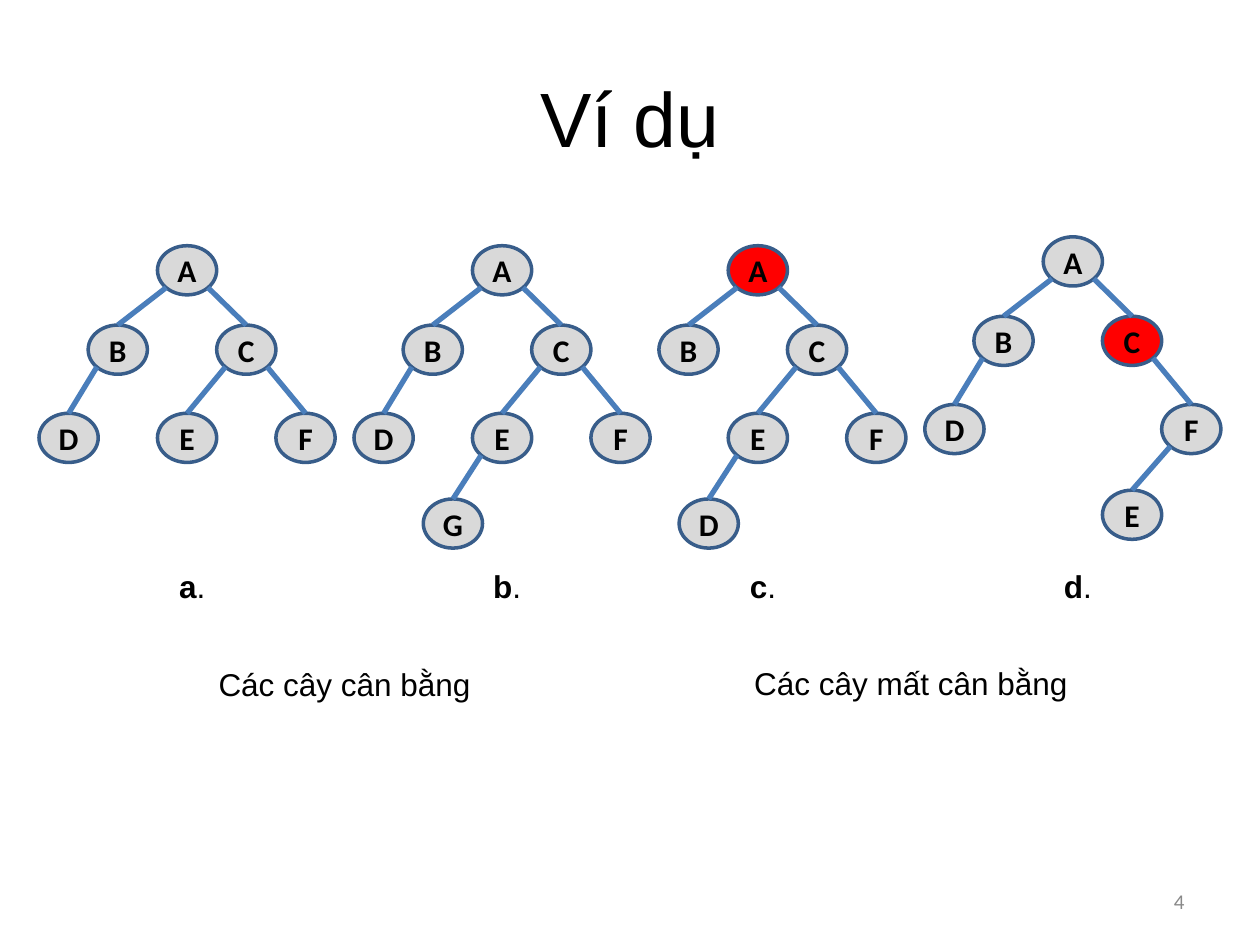
import pptx
import pptx.util
import pptx.oxml
import pptx.dml.color
import pptx.enum.shapes
import pptx.enum.text
from pptx.util import Inches, Pt

HUES = {"text": "000000", "node": "D9D9D9", "fault": "FF0000",
        "rim": "385D8A", "edge": "4A7EBB", "number": "898989"}
ALIGN = pptx.enum.text.PP_ALIGN
ANCHOR = pptx.enum.text.MSO_ANCHOR
FIT = pptx.enum.text.MSO_AUTO_SIZE

NODE_W, NODE_H = 0.47, 0.39
DIAG = 0.5 ** 0.5 / 2  # reach of a 45 degree point, as a share of the diameter

# A slot is the route from the root: L left, R right. Values are offsets in the tree's box.
SLOTS = {"": (0.94, 0), "R": (1.41, 0.63), "RL": (0.94, 1.33), "L": (0.39, 0.63),
         "LL": (0, 1.33), "RR": (1.88, 1.33), "RLL": (0.55, 2.01), "RRL": (1.41, 2.01)}

FULL = {"": "A", "L": "B", "R": "C", "LL": "D", "RL": "E", "RR": "F"}
# name, box (left, top, width, height), nodes by slot, slot out of balance
TREES = [
    ("a", (0.31, 1.95, 2.35, 2.9), FULL, None),
    ("b", (2.81, 1.95, 2.35, 2.9), {**FULL, "RLL": "G"}, None),
    ("c", (4.84, 1.95, 2.35, 2.9),
     {"": "A", "L": "B", "R": "C", "RL": "E", "RR": "F", "RLL": "D"}, ""),
    ("d", (7.34, 1.88, 2.35, 2.97),
     {"": "A", "L": "B", "R": "C", "LL": "D", "RR": "F", "RRL": "E"}, "R"),
]


def color(name):
    return pptx.dml.color.RGBColor.from_string(HUES[name])


def write(shape, *runs, size=18, font="Arial", hue="text", align=ALIGN.CENTER,
          anchor=ANCHOR.TOP):
    """Fill a shape with one paragraph; each run is a (text, bold) pair."""
    frame = shape.text_frame
    frame.word_wrap = True
    frame.vertical_anchor = anchor
    para = frame.paragraphs[0]
    para.alignment = align
    for text, bold in runs:
        run = para.add_run()
        run.text = text
        run.font.name = font
        run.font.size = Pt(size)
        run.font.bold = bold
        run.font.color.rgb = color(hue)
    return frame


def label(shapes, box, *runs, **form):
    field = shapes.add_textbox(*map(Inches, box))
    write(field, *runs, **form).auto_size = FIT.SHAPE_TO_FIT_TEXT


def node(shapes, left, top, text, hue):
    oval = shapes.add_shape(pptx.enum.shapes.MSO_SHAPE.OVAL, Inches(left), Inches(top),
                            Inches(NODE_W), Inches(NODE_H))
    oval.shadow.inherit = False
    oval.fill.solid()
    oval.fill.fore_color.rgb = color(hue)
    oval.line.color.rgb = color("rim")
    oval.line.width = Pt(2)
    frame = write(oval, (text, True), font="Calibri", anchor=ANCHOR.MIDDLE)
    frame.margin_left = frame.margin_right = frame.margin_top = frame.margin_bottom = 0
    return oval


def edge(shapes, top, low, side):
    """Join the lower left or right of one node to the top of the next."""
    reach = DIAG if side == "R" else -DIAG
    line = shapes.add_connector(pptx.enum.shapes.MSO_CONNECTOR.STRAIGHT,
                                int(top.left + top.width * (0.5 + reach)),
                                int(top.top + top.height * (0.5 + DIAG)),
                                low.left + low.width // 2, low.top)
    line.end_connect(low, 0)
    line.line.color.rgb = color("edge")
    line.line.width = Pt(3)
    props = line._element.spPr
    props.append(pptx.oxml.parse_xml(
        '<a:effectLst xmlns:a="http://schemas.openxmlformats.org/drawingml/2006/main"/>'))


def tree(slide, name, box, nodes, fault):
    left, top, width, height = box
    shapes = slide.shapes.add_group_shape().shapes
    ovals = {}
    for slot, text in nodes.items():
        x, y = SLOTS[slot]
        hue = "fault" if slot == fault else "node"
        ovals[slot] = node(shapes, left + x, top + y, text, hue)
    for slot in filter(None, nodes):
        edge(shapes, ovals[slot[:-1]], ovals[slot], slot[-1])
    label(shapes, (left + 0.63, top + height - 0.4, 1.17, 0.4), (name, True), (".", False))


def head(slide, box, text):
    title = slide.shapes.title
    title.left, title.top, title.width, title.height = map(Inches, box)
    write(title, (text, False), size=44, anchor=ANCHOR.MIDDLE)


def main():
    deck = pptx.Presentation()
    deck.slide_width, deck.slide_height = Inches(10), Inches(7.5)
    slide = deck.slides.add_slide(deck.slide_layouts[5])
    head(slide, (0.5, 0.3, 9, 1.25), "Ví dụ")
    for item in TREES:
        tree(slide, *item)
    label(slide.shapes, (1.25, 5.23, 2.97, 0.4), ("Các cây cân bằng", False))
    label(slide.shapes, (5.63, 5.22, 3.2, 0.4), ("Các cây mất cân bằng", False))
    page = slide.shapes.add_textbox(*map(Inches, (7.17, 6.95, 2.33, 0.4)))
    write(page, ("4", False), size=12, font="Calibri", hue="number",
          align=ALIGN.RIGHT, anchor=ANCHOR.MIDDLE)
    deck.save("out.pptx")


if __name__ == "__main__":
    main()
